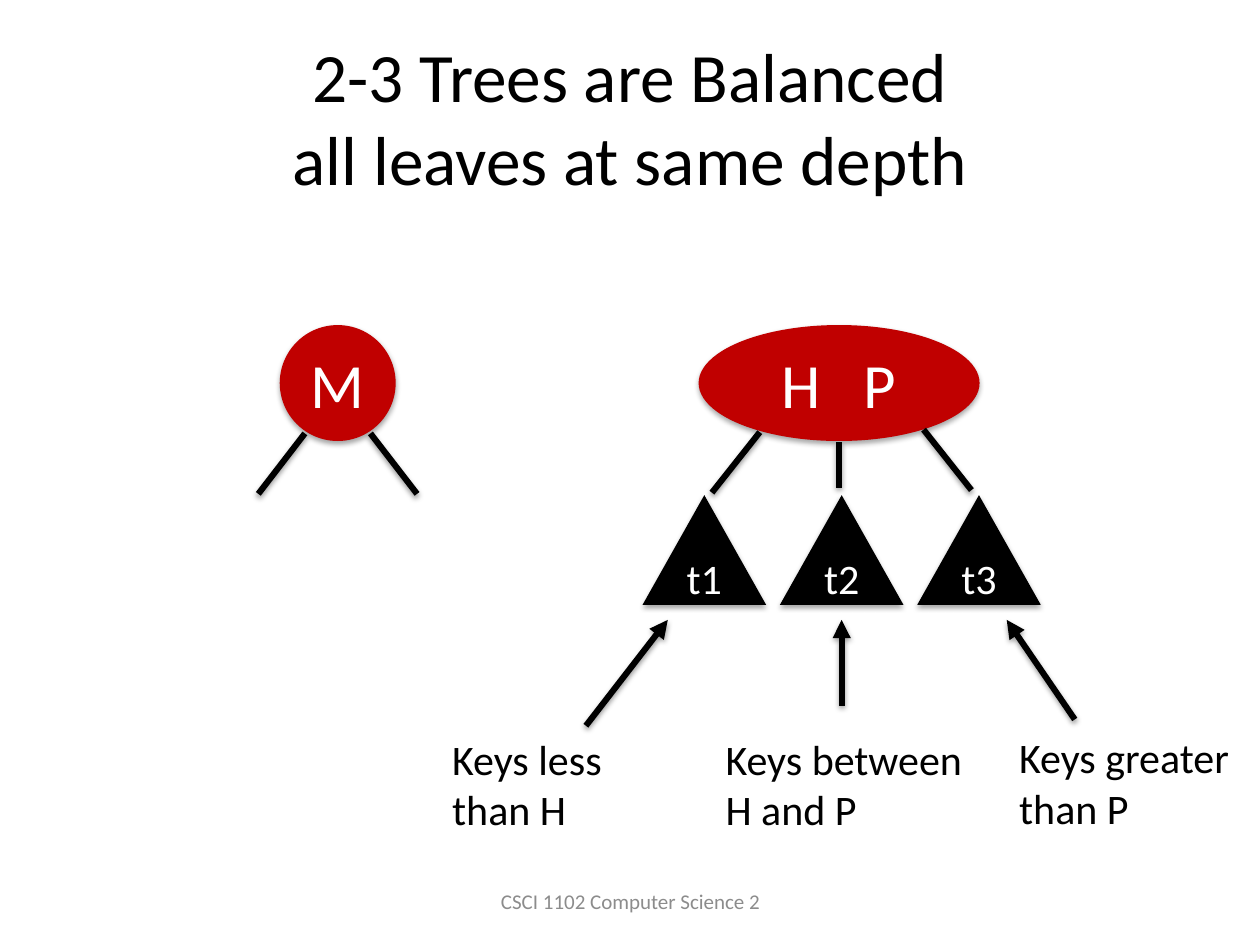
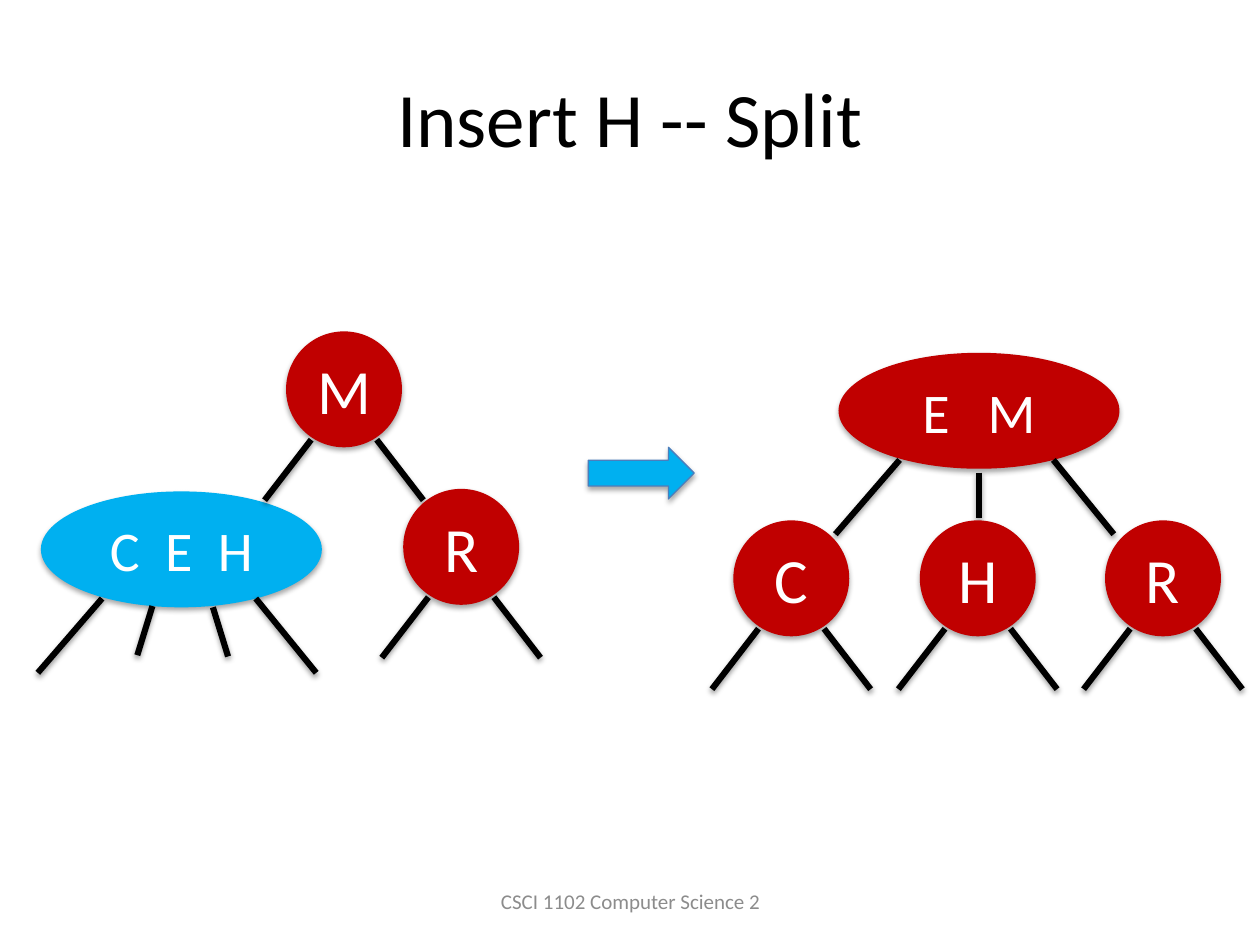
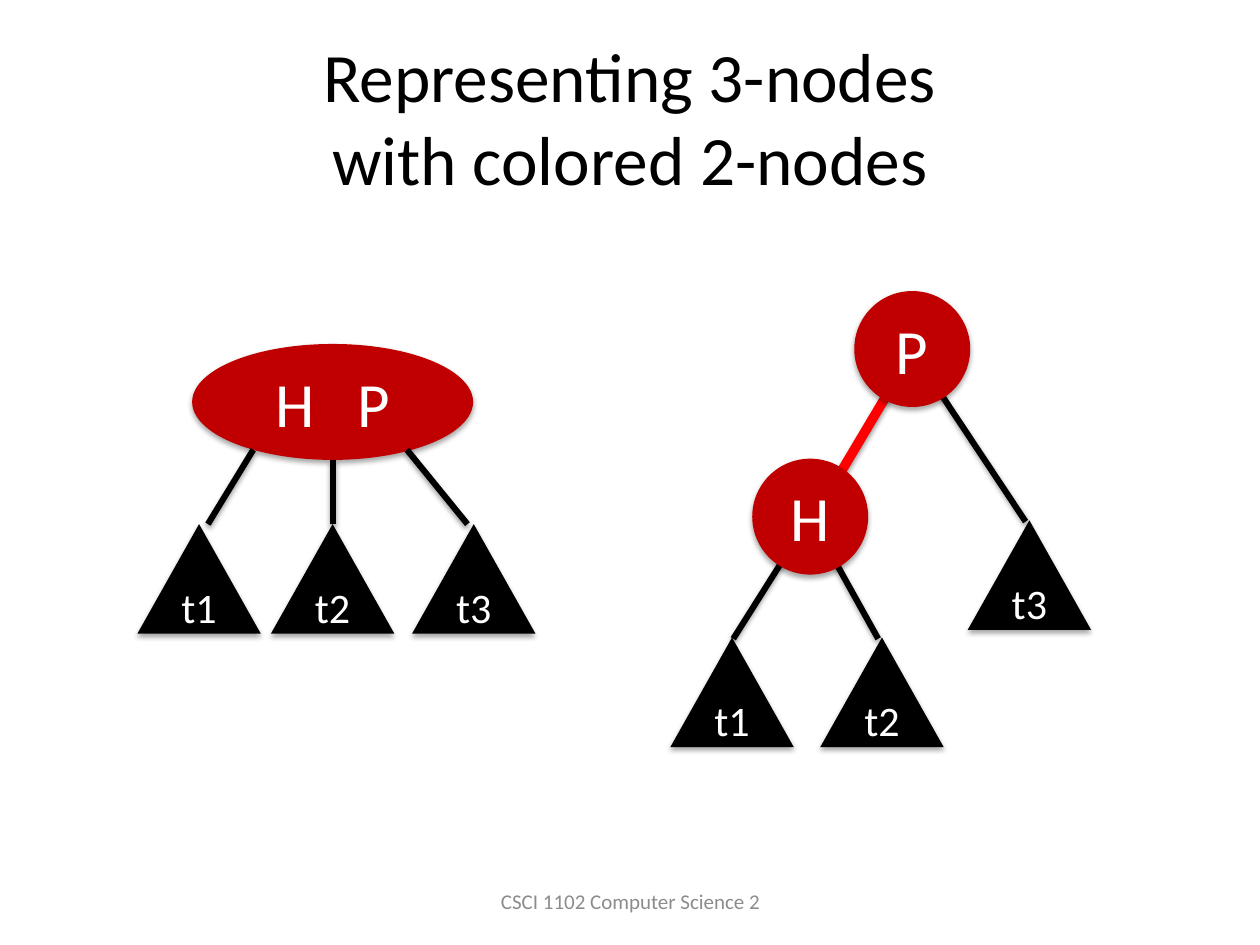
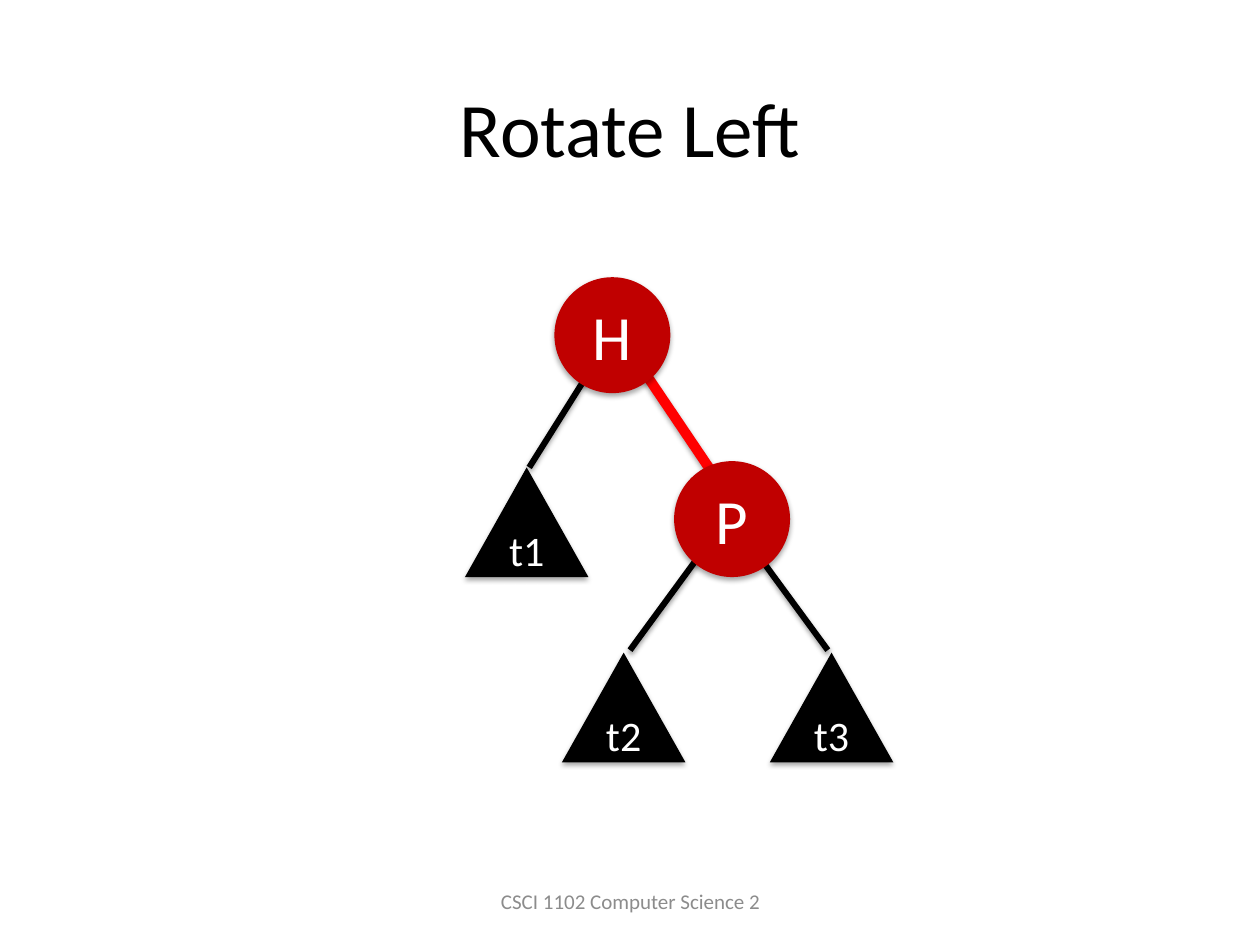
from lxml import etree
from pptx import Presentation
from pptx.dml.color import RGBColor
from pptx.enum.shapes import MSO_CONNECTOR, MSO_SHAPE
from pptx.enum.text import MSO_ANCHOR, MSO_AUTO_SIZE, PP_ALIGN
from pptx.oxml.ns import qn
from pptx.util import Inches, Pt

STRAIGHT = MSO_CONNECTOR.STRAIGHT
OVAL, TRIANGLE, ARROW = MSO_SHAPE.OVAL, MSO_SHAPE.ISOSCELES_TRIANGLE, MSO_SHAPE.RIGHT_ARROW
CENTER, LEFT = PP_ALIGN.CENTER, PP_ALIGN.LEFT
MIDDLE, TOP = MSO_ANCHOR.MIDDLE, MSO_ANCHOR.TOP
GROW = MSO_AUTO_SIZE.SHAPE_TO_FIT_TEXT
NO_FIT = MSO_AUTO_SIZE.NONE

FONT = "Calibri"
RED, BRIGHT, BLUE, EDGE = "C00000", "FF0000", "00B0F0", "4B7EBC"
BLACK, WHITE, GRAY = "000000", "FFFFFF", "8C8C8C"
FOOTER = "CSCI 1102 Computer Science 2"
FOOTER_AREA = (3.42, 6.95, 3.17, 0.4)

NODE_HEIGHT = 0.92
NODE_WIDTH = {1: 0.92, 2: 2.23, 3: 2.23}
SUBTREE_SIZE = (0.98, 0.87)
SPACE_SHARE = 0.226
LINK_WIDTH = 3.5
SHAPE_SHADOW = {"alpha": 35, "blur": 3.1, "dist": 1.8}
LINK_SHADOW = {"alpha": 38, "blur": 3.1, "dist": 1.6}

NO_LEGS = ()
TWO_LEGS = ((-0.26, 0.86, -0.63, 1.34), (0.26, 0.86, 0.63, 1.34))
OUTER_LEGS = ((-0.63, 0.85, -1.14, 1.44), (0.59, 0.85, 1.07, 1.44))
FOUR_LEGS = OUTER_LEGS + ((-0.23, 0.91, -0.35, 1.3), (0.25, 0.92, 0.37, 1.31))
SPLIT_LEGS = OUTER_LEGS + ((0, 0.95, 0, 1.31),)
SUBTREE_LEGS = ((-0.63, 0.85, -1.01, 1.33), (0.67, 0.83, 1.05, 1.31), (0, 0.93, 0, 1.29))
LONG_LEGS = ((-0.63, 0.84, -0.99, 1.43), (0.59, 0.84, 1.07, 1.43), (0, 0.92, 0, 1.43))

PAGES = [
    {
        "title": ("2-3 Trees are Balanced\nall leaves at same depth", 39.6, 0.3),
        "nodes": [
            ("M", 2.68, 2.58, 36, RED, TWO_LEGS),
            ("HP", 6.66, 2.58, 36, RED, SUBTREE_LEGS),
        ],
        "subtrees": [("t1", 5.59, 3.93), ("t2", 6.68, 3.93), ("t3", 7.77, 3.93)],
        "notes": [
            ("Keys less than H", 3.49, 5.77, 1.48),
            ("Keys between H and P", 5.66, 5.77, 2.12),
            ("Keys greater than P", 7.99, 5.76, 1.91),
        ],
        "pointers": [
            (4.65, 5.76, 5.3, 4.92),
            (6.68, 5.6, 6.68, 4.92),
            (8.53, 5.71, 7.99, 4.92),
        ],
    },
    {
        "title": ("Insert H -- Split", 44, 0.3),
        "nodes": [
            ("CEH", 1.44, 3.9, 32, BLUE, FOUR_LEGS),
            ("M", 2.73, 2.63, 36, RED, TWO_LEGS),
            ("R", 3.66, 3.88, 36, RED, TWO_LEGS),
            ("EM", 7.77, 2.8, 32, RED, SPLIT_LEGS),
            ("C", 6.28, 4.13, 36, RED, TWO_LEGS),
            ("H", 7.76, 4.13, 36, RED, TWO_LEGS),
            ("R", 9.23, 4.13, 36, RED, TWO_LEGS),
        ],
        "steps": [(4.67, 3.55, 0.84, 0.41)],
    },
    {
        "title": ("Representing 3-nodes\nwith colored 2-nodes", 39.6, 0.3),
        "links": [
            (6.43, 4.1, 6.97, 5.07, BLACK, LINK_WIDTH),
            (6.4, 4.15, 5.82, 5.07, BLACK, LINK_WIDTH),
            (7.23, 2.77, 8.14, 4.14, BLACK, LINK_WIDTH),
            (7.19, 2.88, 6.44, 4.14, BRIGHT, 5.5),
        ],
        "nodes": [
            ("HP", 2.64, 2.73, 36, RED, LONG_LEGS),
            ("P", 7.24, 2.31, 36, RED, NO_LEGS),
            ("H", 6.43, 3.64, 36, RED, NO_LEGS),
        ],
        "subtrees": [
            ("t1", 1.58, 4.16), ("t2", 2.64, 4.16), ("t3", 3.76, 4.16),
            ("t3", 8.17, 4.13), ("t1", 5.81, 5.06), ("t2", 7, 5.06),
        ],
    },
    {
        "title": ("Rotate Left", 44, 0.38),
        "links": [
            (5.77, 4.11, 5, 5.16, BLACK, LINK_WIDTH),
            (4.86, 2.66, 4.2, 3.71, BLACK, LINK_WIDTH),
            (5.8, 4.11, 6.57, 5.16, BLACK, LINK_WIDTH),
            (4.89, 2.62, 5.72, 3.85, BRIGHT, 5.75),
        ],
        "nodes": [
            ("H", 4.86, 2.2, 36, RED, NO_LEGS),
            ("P", 5.81, 3.66, 36, RED, NO_LEGS),
        ],
        "subtrees": [("t3", 6.6, 5.18), ("t2", 4.95, 5.18), ("t1", 4.18, 3.71)],
    },
]


def color(value):
    return RGBColor.from_string(value)


def inches(values):
    return [Inches(value) for value in values]


def add_shadow(shape, alpha, blur, dist):
    effects = etree.SubElement(shape._element.spPr, qn("a:effectLst"))
    outer = etree.SubElement(effects, qn("a:outerShdw"), {
        "blurRad": str(Pt(blur)), "dist": str(Pt(dist)), "dir": "5400000", "rotWithShape": "0",
    })
    tone = etree.SubElement(outer, qn("a:srgbClr"), val=BLACK)
    etree.SubElement(tone, qn("a:alpha"), val=str(alpha * 1000))


def format_span(span, size, ink):
    for name, value in {"name": FONT, "size": Pt(size)}.items():
        setattr(span.font, name, value)
    span.font.color.rgb = color(ink)


def write(box, text, size, ink, align=CENTER, anchor=MIDDLE, fit=NO_FIT, margin=0.1):
    frame = box.text_frame
    settings = {"word_wrap": True, "auto_size": fit, "vertical_anchor": anchor,
                "margin_left": Inches(margin), "margin_right": Inches(margin)}
    for name, value in settings.items():
        setattr(frame, name, value)
    para = frame.paragraphs[0]
    para.text = text
    para.alignment = align
    for span in para.runs:
        format_span(span, size, ink)
    for line_break in para._p.findall(qn("a:br")):
        etree.SubElement(line_break, qn("a:rPr"), sz=str(int(size * 100)))


def add_solid(page, kind, area, fill):
    shape = page.shapes.add_shape(kind, *inches(area))
    shape.fill.solid()
    shape.fill.fore_color.rgb = color(fill)
    shape.line.fill.background()
    return shape


def add_link(page, x1, y1, x2, y2, ink=BLACK, width=LINK_WIDTH, head=False):
    link = page.shapes.add_connector(STRAIGHT, *inches((x1, y1, x2, y2)))
    link.line.color.rgb = color(ink)
    link.line.width = Pt(width)
    if head:
        etree.SubElement(link.line._get_or_add_ln(), qn("a:tailEnd"), type="triangle")
    add_shadow(link, **LINK_SHADOW)


def add_pointer(page, *ends):
    add_link(page, *ends, head=True)


def add_node(page, keys, middle, top, size, fill, legs):
    width = NODE_WIDTH[len(keys)]
    node = add_solid(page, OVAL, (middle - width / 2, top, width, NODE_HEIGHT), fill)
    add_shadow(node, **SHAPE_SHADOW)
    write(node, keys[0], size, WHITE, margin=0)
    para = node.text_frame.paragraphs[0]
    extra_spaces = 4 - len(keys)
    for key in keys[1:]:
        gap, span = para.add_run(), para.add_run()
        gap.text, span.text = " ", key
        format_span(gap, size, WHITE)
        format_span(span, size, WHITE)
        gap._r.get_or_add_rPr().set("spc", str(round(extra_spaces * SPACE_SHARE * size * 100)))
    for x1, y1, x2, y2 in legs:
        add_link(page, middle + x1, top + y1, middle + x2, top + y2)


def add_subtree(page, label, apex, top):
    width, height = SUBTREE_SIZE
    subtree = add_solid(page, TRIANGLE, (apex - width / 2, top, width, height), BLACK)
    add_shadow(subtree, **SHAPE_SHADOW)
    write(subtree, label, 24, WHITE, margin=0)


def add_note(page, text, left, top, width):
    box = page.shapes.add_textbox(*inches((left, top, width, 0.91)))
    write(box, text, 24, BLACK, align=LEFT, anchor=TOP, fit=GROW)


def add_step(page, *area):
    step = add_solid(page, ARROW, area, BLUE)
    step.line.color.rgb = color(EDGE)
    step.line.width = Pt(0.75)
    add_shadow(step, **SHAPE_SHADOW)


def add_frame(page, text, size, top):
    title = page.shapes.title
    title.left, title.top, title.width, title.height = inches((0.5, top, 9, 1.25))
    write(title, text, size, BLACK)
    footer = page.shapes.add_textbox(*inches(FOOTER_AREA))
    write(footer, FOOTER, 12, GRAY)


BUILDERS = {
    "title": add_frame,
    "links": add_link,
    "nodes": add_node,
    "subtrees": add_subtree,
    "notes": add_note,
    "pointers": add_pointer,
    "steps": add_step,
}


def main():
    deck = Presentation()
    deck.slide_width, deck.slide_height = inches((10, 7.5))
    for content in PAGES:
        page = deck.slides.add_slide(deck.slide_layouts[5])
        for part, build in BUILDERS.items():
            items = content.get(part, [])
            for item in [items] if part == "title" else items:
                build(page, *item)
    deck.save("out.pptx")


if __name__ == "__main__":
    main()
